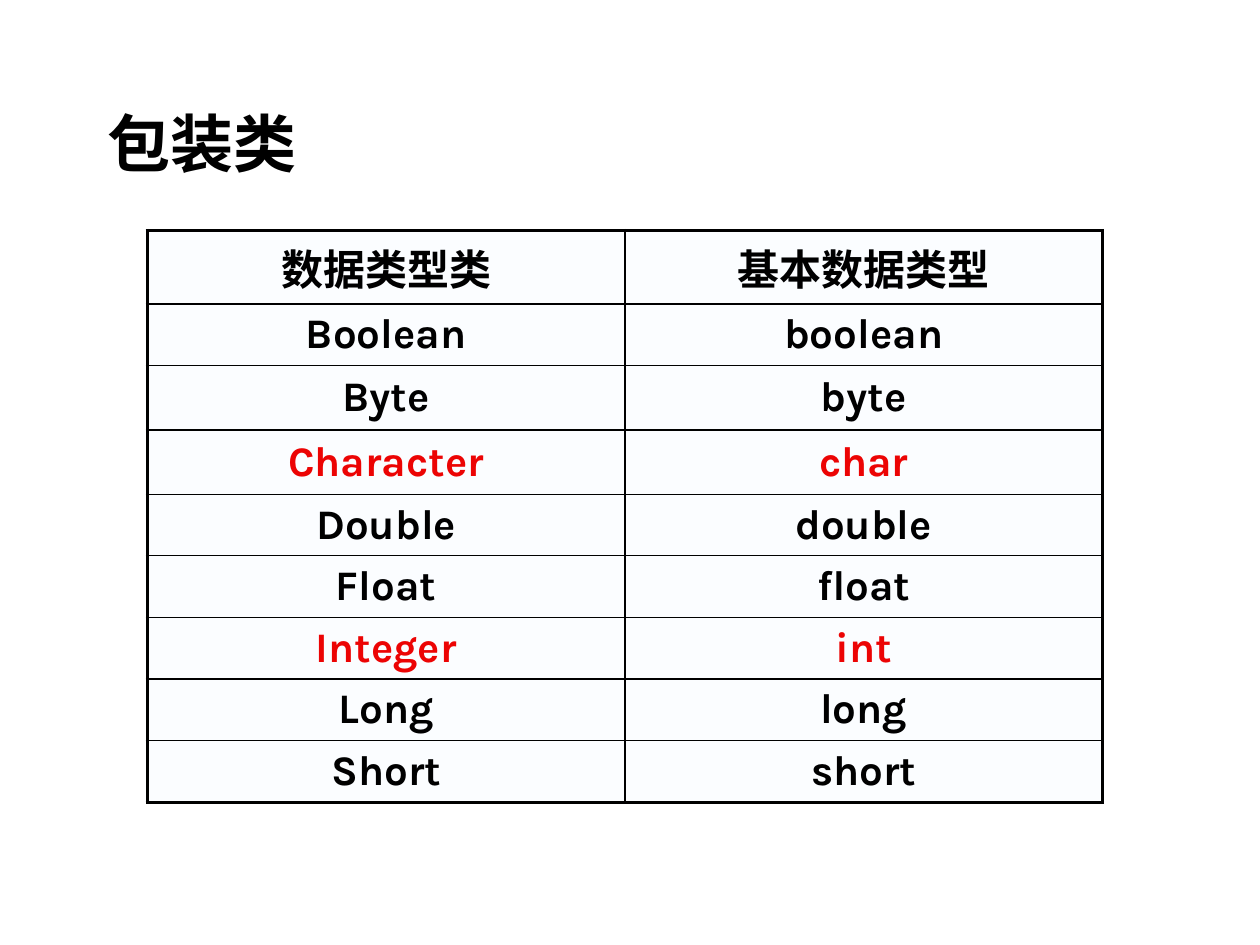
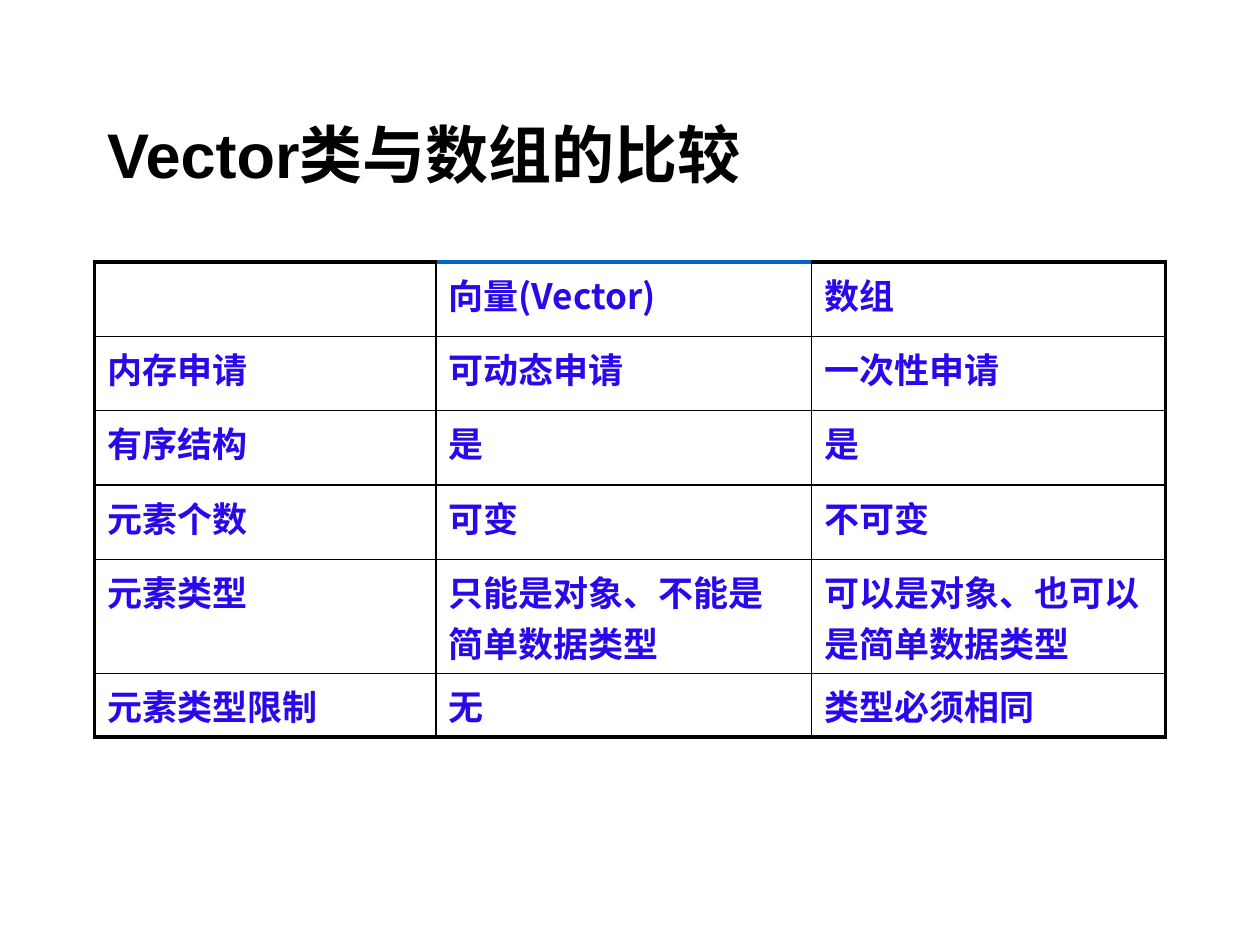
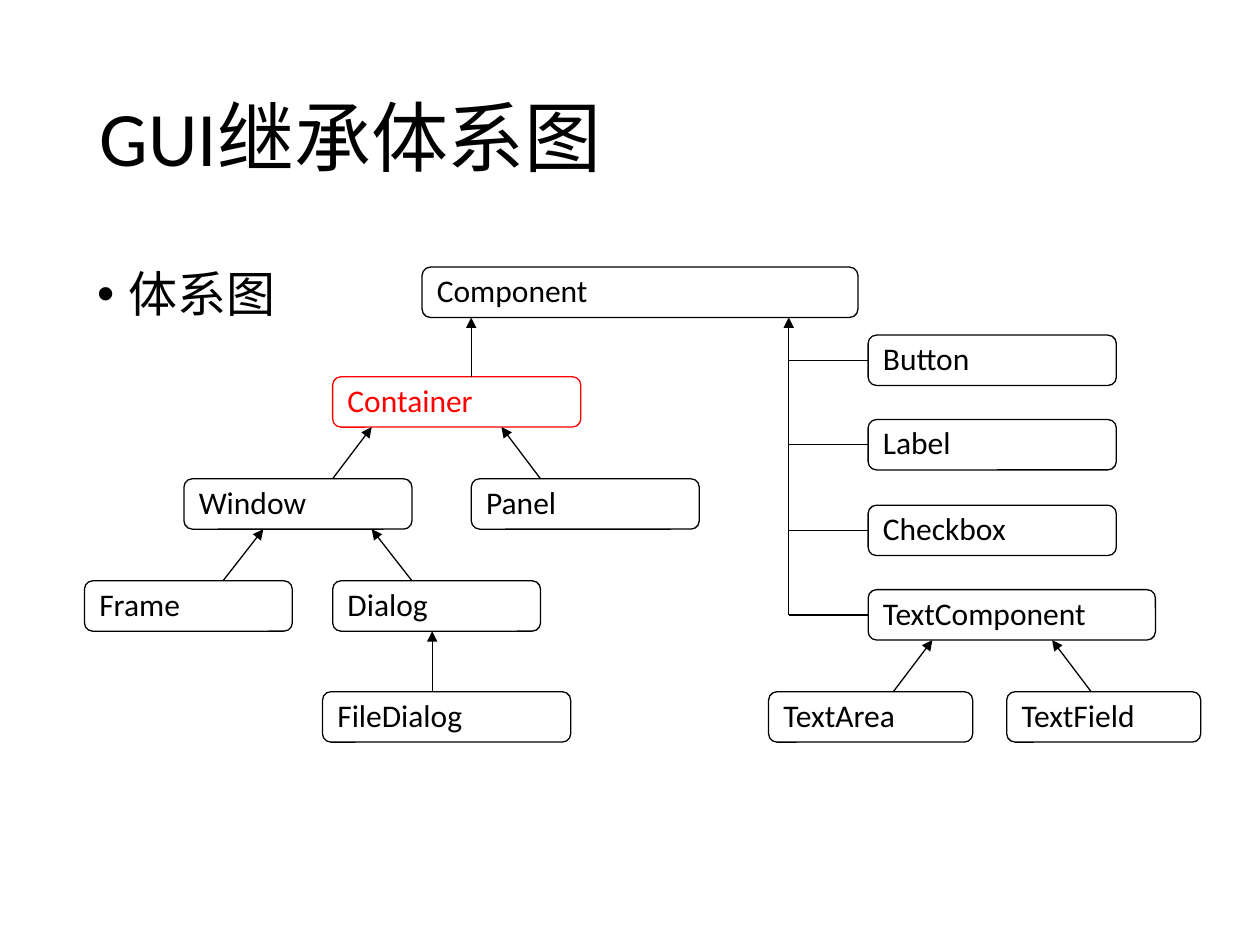
from dataclasses import dataclass

from lxml.etree import SubElement
from pptx import Presentation
from pptx.dml.color import RGBColor
from pptx.enum.shapes import MSO_CONNECTOR, MSO_SHAPE
from pptx.enum.text import MSO_ANCHOR, MSO_AUTO_SIZE, PP_ALIGN
from pptx.oxml.ns import qn
from pptx.util import Inches, Pt


@dataclass(frozen=True)
class Theme:
    black: str = "000000"
    red: str = "FF0000"
    keyword: str = "EC0404"
    blue_text: str = "2908EC"
    blue_rule: str = "0563C1"
    white: str = "FFFFFF"
    pale: str = "FBFDFF"
    heading_font: str = "Arial"
    body_font: str = "Calibri"
    code_font: str = "Karla"
    chinese_font: str = "Noto Sans CJK SC"
    title_size: float = 36
    large_title_size: float = 44
    body_size: float = 28
    code_size: float = 24
    cell_size: float = 20
    node_size: float = 18
    thin: float = 0.75
    medium: float = 1
    thick: float = 2.25


THEME = Theme()
NODE_HEIGHT = 0.4
RAIL_X = 6.26


@dataclass(frozen=True)
class Area:
    left: float
    top: float
    width: float
    height: float

    def lengths(self) -> tuple:
        return tuple(Inches(n) for n in (self.left, self.top, self.width, self.height))


@dataclass(frozen=True)
class TableStyle:
    font: str
    size: float
    color: str
    fill: str
    inner: float
    align: PP_ALIGN
    anchor: MSO_ANCHOR


@dataclass(frozen=True)
class Node:
    """A class in the inheritance tree."""
    left: float
    top: float
    width: float
    color: str = THEME.black

    @property
    def middle(self) -> float:
        return self.top + NODE_HEIGHT / 2

    @property
    def bottom(self) -> float:
        return self.top + NODE_HEIGHT


@dataclass(frozen=True)
class Arrow:
    """An arrow from the top of a child to the bottom of its parent."""
    child: str
    parent: str
    start_x: float
    end_x: float


CODE_TABLE = TableStyle(THEME.code_font, THEME.code_size, THEME.black, THEME.pale,
                        THEME.thin, PP_ALIGN.CENTER, MSO_ANCHOR.MIDDLE)
COMPARE_TABLE = TableStyle(THEME.chinese_font, THEME.cell_size, THEME.blue_text, THEME.white,
                           THEME.medium, PP_ALIGN.LEFT, MSO_ANCHOR.TOP)

WRAPPERS = [
    ("数据类型类", "基本数据类型"),
    ("Boolean", "boolean"),
    ("Byte", "byte"),
    ("Character", "char"),
    ("Double", "double"),
    ("Float", "float"),
    ("Integer", "int"),
    ("Long", "long"),
    ("Short", "short"),
]
RENAMED = {"Character", "char", "Integer", "int"}

COMPARISON = [
    ("", "向量(Vector)", "数组"),
    ("内存申请", "可动态申请", "一次性申请"),
    ("有序结构", "是", "是"),
    ("元素个数", "可变", "不可变"),
    ("元素类型", "只能是对象、不能是简单数据类型", "可以是对象、也可以是简单数据类型"),
    ("元素类型限制", "无", "类型必须相同"),
]

NODES = {
    "Component": Node(3.35, 2.12, 3.46),
    "Container": Node(2.64, 2.99, 1.97, THEME.red),
    "Window": Node(1.46, 3.8, 1.81),
    "Panel": Node(3.74, 3.8, 1.81),
    "Frame": Node(0.67, 4.61, 1.65),
    "Dialog": Node(2.64, 4.61, 1.65),
    "FileDialog": Node(2.56, 5.49, 1.97),
    "Button": Node(6.89, 2.66, 1.97),
    "Label": Node(6.89, 3.33, 1.97),
    "Checkbox": Node(6.89, 4.01, 1.97),
    "TextComponent": Node(6.89, 4.68, 2.28),
    "TextArea": Node(6.1, 5.49, 1.62),
    "TextField": Node(7.99, 5.49, 1.54),
}
ARROWS = [
    Arrow("Container", "Component", 3.74, 3.74),
    Arrow("Window", "Container", 2.64, 2.95),
    Arrow("Panel", "Container", 4.29, 3.98),
    Arrow("Frame", "Window", 1.77, 2.09),
    Arrow("Dialog", "Window", 3.27, 2.95),
    Arrow("FileDialog", "Dialog", 3.43, 3.43),
    Arrow("TextArea", "TextComponent", 7.09, 7.4),
    Arrow("TextField", "TextComponent", 8.66, 8.35),
]
RAIL_CHILDREN = ["Button", "Label", "Checkbox", "TextComponent"]


def write(frame, text: str, *, font: str, size: float, color: str = THEME.black,
          bold: bool = False, align: PP_ALIGN = PP_ALIGN.LEFT,
          spacing: float = 1.0, bullet: str = "") -> None:
    """Fill a text frame with one formatted paragraph."""
    para = frame.paragraphs[0]
    para.alignment = align
    para.line_spacing = spacing
    para.space_before = Pt(0)
    if bullet:
        settings = para._p.get_or_add_pPr()
        settings.set("marL", str(Inches(0.25)))
        settings.set("indent", str(-Inches(0.25)))
        SubElement(settings, qn("a:buChar"), char=bullet)
    span = para.add_run()
    span.text = text
    span.font.name = font
    span.font.size = Pt(size)
    span.font.bold = bold
    span.font.color.rgb = RGBColor.from_string(color)
    SubElement(span._r.get_or_add_rPr(), qn("a:ea"), typeface=THEME.chinese_font)


def fill_placeholder(box, area: Area, text: str, anchor: MSO_ANCHOR, **text_format) -> None:
    box.left, box.top, box.width, box.height = area.lengths()
    frame = box.text_frame
    frame.auto_size = MSO_AUTO_SIZE.NONE
    frame.vertical_anchor = anchor
    write(frame, text, spacing=0.9, **text_format)


def add_page(deck, layout: int, title: str, area: Area, *, font: str = THEME.heading_font,
             size: float = THEME.title_size, bold: bool = True):
    page = deck.slides.add_slide(deck.slide_layouts[layout])
    fill_placeholder(page.shapes.title, area, title, MSO_ANCHOR.MIDDLE,
                     font=font, size=size, bold=bold)
    return page


def set_border(cell, side: str, width: float, color: str = THEME.black) -> None:
    settings = cell._tc.get_or_add_tcPr()
    line = SubElement(settings, qn(f"a:ln{side}"), w=str(Pt(width)))
    SubElement(SubElement(line, qn("a:solidFill")), qn("a:srgbClr"), val=color)


def add_grid(page, area: Area, columns: list[float], heights: list[float],
             texts: list[tuple], style: TableStyle, text_colors: dict[str, str],
             top_colors: dict[int, str]) -> None:
    """Draw a table with a thick frame and thin inner rules."""
    last_row, last_column = len(heights) - 1, len(columns) - 1
    table = page.shapes.add_table(len(heights), len(columns), *area.lengths()).table
    table.first_row = table.horz_banding = False
    for column, width in zip(table.columns, columns):
        column.width = Inches(width)
    for row, height in zip(table.rows, heights):
        row.height = Inches(height)

    for r, row_texts in enumerate(texts):
        inner = THEME.medium if r == 0 else style.inner
        for c, text in enumerate(row_texts):
            cell = table.cell(r, c)
            set_border(cell, "L", THEME.thick if c == 0 else inner)
            set_border(cell, "R", THEME.thick if c == last_column else inner)
            if r == 0:
                set_border(cell, "T", THEME.thick, top_colors.get(c, THEME.black))
            else:
                set_border(cell, "T", THEME.medium if r == 1 else inner)
            set_border(cell, "B", THEME.thick if r == last_row else inner)
            cell.fill.solid()
            cell.fill.fore_color.rgb = RGBColor.from_string(style.fill)
            cell.vertical_anchor = style.anchor
            if text:
                write(cell.text_frame, text, font=style.font, size=style.size, bold=True,
                      color=text_colors.get(text, style.color), align=style.align)


def set_line(shape, color: str = THEME.black) -> None:
    shape.line.color.rgb = RGBColor.from_string(color)
    shape.line.width = Pt(THEME.thin)


def add_node(group, name: str, node: Node) -> None:
    area = Area(node.left, node.top, node.width, NODE_HEIGHT)
    box = group.shapes.add_shape(MSO_SHAPE.ROUNDED_RECTANGLE, *area.lengths())
    box.shadow.inherit = False
    box.fill.background()
    set_line(box, node.color)
    frame = box.text_frame
    frame.word_wrap = True
    frame.vertical_anchor = MSO_ANCHOR.MIDDLE
    write(frame, name, font=THEME.body_font, size=THEME.node_size, color=node.color, spacing=0.9)


def add_line(group, start: tuple[float, float], end: tuple[float, float],
             arrow: bool = False) -> None:
    points = [Inches(n) for n in (*start, *end)]
    line = group.shapes.add_connector(MSO_CONNECTOR.STRAIGHT, *points)
    set_line(line)
    properties = line._element.spPr
    if arrow:
        SubElement(properties.find(qn("a:ln")), qn("a:tailEnd"), type="triangle")
    SubElement(properties, qn("a:effectLst"))


def build_wrappers(deck) -> None:
    page = add_page(deck, 5, "包装类", Area(0.75, 0.84, 8.5, 0.66))
    heights = [0.51 if r in (2, 3) else 0.48 for r in range(len(WRAPPERS))]
    add_grid(page, Area(1.17, 1.83, 7.58, 4.52), [3.79, 3.79], heights, WRAPPERS,
             CODE_TABLE, dict.fromkeys(RENAMED, THEME.keyword), {})


def build_comparison(deck) -> None:
    page = add_page(deck, 5, "Vector类与数组的比较", Area(0.75, 0.84, 8.5, 0.83))
    heights = [0.59] * 4 + [0.6, 0.48]
    add_grid(page, Area(0.75, 2.08, 8.5, 3.6), [2.71, 2.98, 2.81], heights, COMPARISON,
             COMPARE_TABLE, {}, {1: THEME.blue_rule})


def build_hierarchy(deck) -> None:
    page = add_page(deck, 1, "GUI继承体系图", Area(0.69, 0.4, 8.62, 1.45),
                    font=THEME.body_font, size=THEME.large_title_size, bold=False)
    fill_placeholder(page.placeholders[1], Area(0.67, 2.09, 8.62, 4.76), "体系图",
                     MSO_ANCHOR.TOP, font=THEME.body_font, size=THEME.body_size, bullet="•")

    group = page.shapes.add_group_shape()
    for name, node in NODES.items():
        add_node(group, name, node)
    for arrow in ARROWS:
        add_line(group, (arrow.start_x, NODES[arrow.child].top),
                 (arrow.end_x, NODES[arrow.parent].bottom), arrow=True)

    # Shared rail for the simple components
    add_line(group, (RAIL_X, NODES[RAIL_CHILDREN[-1]].middle),
             (RAIL_X, NODES["Component"].bottom), arrow=True)
    for name in RAIL_CHILDREN:
        node = NODES[name]
        add_line(group, (RAIL_X, node.middle), (node.left, node.middle))


def main() -> None:
    deck = Presentation()
    deck.slide_width, deck.slide_height = Inches(10), Inches(7.5)
    build_wrappers(deck)
    build_comparison(deck)
    build_hierarchy(deck)
    deck.save("out.pptx")


if __name__ == "__main__":
    main()
